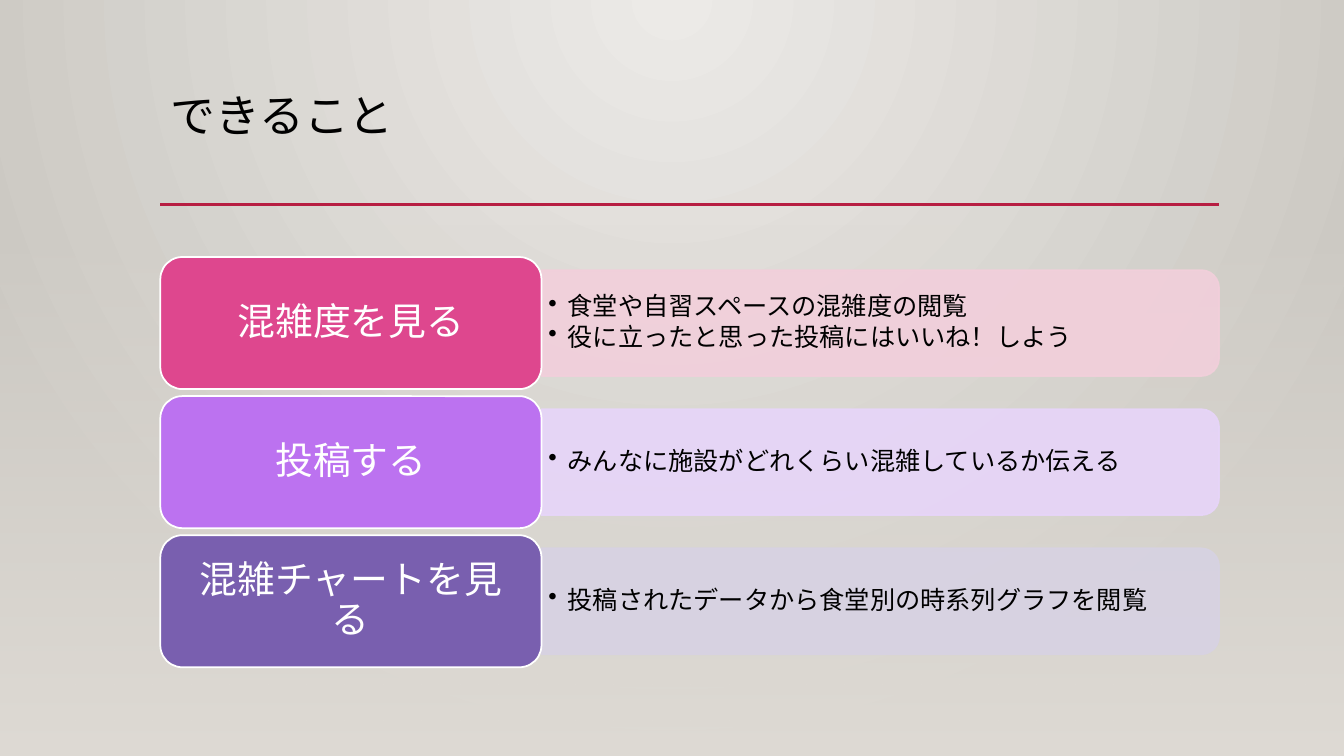
from lxml import etree
from pptx import Presentation
from pptx.dml.color import RGBColor
from pptx.enum.shapes import MSO_CONNECTOR, MSO_SHAPE
from pptx.enum.text import MSO_ANCHOR, PP_ALIGN
from pptx.oxml.ns import qn
from pptx.util import Inches, Pt

RECT, ROUND = MSO_SHAPE.RECTANGLE, MSO_SHAPE.ROUNDED_RECTANGLE
ROUND_TOP = MSO_SHAPE.ROUND_2_SAME_RECTANGLE
STRAIGHT = MSO_CONNECTOR.STRAIGHT
TOP, MIDDLE = MSO_ANCHOR.TOP, MSO_ANCHOR.MIDDLE
LEFT, CENTER = PP_ALIGN.LEFT, PP_ALIGN.CENTER

BLACK = RGBColor(0x00, 0x00, 0x00)
WHITE = RGBColor(0xFF, 0xFF, 0xFF)
CRIMSON = RGBColor(0xB7, 0x1E, 0x42)
PALE, GREY = RGBColor(0xEC, 0xEA, 0xE7), RGBColor(0xCA, 0xC7, 0xC1)
SAND = RGBColor(0xDF, 0xDB, 0xD5)

# Content: label, label colour, bar colour, bullets
TITLE = "できること"
ROWS = [
    ("混雑度を見る", RGBColor(0xDE, 0x47, 0x8E), RGBColor(0xF2, 0xCF, 0xDB),
     ["食堂や自習スペースの混雑度の閲覧", "役に立ったと思った投稿にはいいね！しよう"]),
    ("投稿する", RGBColor(0xBC, 0x72, 0xF0), RGBColor(0xE7, 0xD5, 0xF9),
     ["みんなに施設がどれくらい混雑しているか伝える"]),
    ("混雑チャートを見る", RGBColor(0x79, 0x5F, 0xAF), RGBColor(0xD7, 0xD2, 0xE3),
     ["投稿されたデータから食堂別の時系列グラフを閲覧"]),
]

# Layout in inches
SLIDE_W, SLIDE_H = 13.33, 7.5
MARGIN, RULE_Y, VEIL_Y = 1.59, 2.03, 2.21
ROW_TOP, ROW_PITCH = 2.55, 1.38
LABEL_W, LABEL_H = 3.78, 1.31
BAR_W, BAR_H = 6.72, 1.05
BULLETS_W, BULLETS_H = 6.67, 0.95
INDENT = 0.19


def add(parent, tag, **attrs):
    return etree.SubElement(parent, qn(tag), attrs)


def set_gradient(fill, element, stops, radial=False):
    fill.gradient()
    grad = next(element.iter(qn("a:gradFill")))
    for child in list(grad):
        grad.remove(child)
    stop_list = add(grad, "a:gsLst")
    for pos, color, alpha in stops:
        stop = add(stop_list, "a:gs", pos=str(pos * 1000))
        clr = add(stop, "a:srgbClr", val=str(color))
        if alpha < 100:
            add(clr, "a:alpha", val=str(alpha * 1000))
    if radial:
        circle = add(grad, "a:path", path="circle")
        add(circle, "a:fillToRect", l="43000", t="0", r="43000", b="100000")
    else:
        add(grad, "a:lin", ang="5400000", scaled="0")


def add_shape(s, kind, x, y, w, h, fill, line):
    sp = s.shapes.add_shape(kind, Inches(x), Inches(y), Inches(w), Inches(h))
    sp.shadow.inherit = False
    sp.fill.solid()
    sp.fill.fore_color.rgb = fill
    sp.line.color.rgb = line
    sp.line.width = Pt(1.25)
    return sp


def write(sp, lines, size, color, align, anchor, inset, bullets=False):
    tf = sp.text_frame
    frame = dict(word_wrap=True, vertical_anchor=anchor,
                 margin_left=Inches(inset[0]), margin_right=Inches(inset[0]),
                 margin_top=Inches(inset[1]), margin_bottom=Inches(inset[1]))
    for name, value in frame.items():
        setattr(tf, name, value)
    for i, line in enumerate(lines):
        p = tf.paragraphs[0] if i == 0 else tf.add_paragraph()
        p.alignment, p.line_spacing = align, 0.9
        r = p.add_run()
        r.text = line
        for name, value in dict(name="Calibri", size=Pt(size)).items():
            setattr(r.font, name, value)
        r.font.color.rgb = color
        if bullets:
            p.level = 1
            p.space_after = Pt(size * 0.15)
            pPr = p._p.get_or_add_pPr()
            pPr.set("marL", str(Inches(INDENT)))
            pPr.set("indent", str(-Inches(INDENT)))
            add(pPr, "a:buChar", char="•")


def add_row(s, top, label, label_color, bar_color, bullets):
    middle = top + LABEL_H / 2
    bar_left = MARGIN + LABEL_W

    # Bar: an upright shape turned so its rounded end faces right
    bar = add_shape(s, ROUND_TOP, bar_left + (BAR_W - BAR_H) / 2,
                    middle - BAR_W / 2, BAR_H, BAR_W, bar_color, bar_color)
    bar.rotation = 90
    for clr in bar._element.spPr.iter(qn("a:srgbClr")):
        add(clr, "a:alpha", val="90000")

    # Bullets
    box = s.shapes.add_textbox(Inches(bar_left), Inches(middle - BULLETS_H / 2),
                               Inches(BULLETS_W), Inches(BULLETS_H))
    write(box, bullets, 18, BLACK, LEFT, MIDDLE, (0.07, 0.04), bullets=True)

    # Label
    tile = add_shape(s, ROUND, MARGIN, top, LABEL_W, LABEL_H, label_color, WHITE)
    write(tile, [label], 27, WHITE, CENTER, MIDDLE, (0.17, 0.12))


def main():
    prs = Presentation()
    prs.slide_width, prs.slide_height = Inches(SLIDE_W), Inches(SLIDE_H)
    s = prs.slides.add_slide(prs.slide_layouts[5])

    # Background and the veil over its lower part
    set_gradient(s.background.fill, s._element,
                 [(0, PALE, 100), (100, GREY, 100)], radial=True)
    veil = add_shape(s, RECT, 0, VEIL_Y, SLIDE_W, SLIDE_H - VEIL_Y, SAND, SAND)
    veil.line.fill.background()
    set_gradient(veil.fill, veil._element, [(0, SAND, 0), (100, SAND, 100)])

    # Title and rule
    title = s.shapes.title
    place = dict(left=MARGIN, top=0.88, width=10.5, height=1.15)
    for name, value in place.items():
        setattr(title, name, Inches(value))
    write(title, [TITLE], 32, BLACK, LEFT, TOP, (0.1, 0.05))
    rule = s.shapes.add_connector(STRAIGHT, Inches(MARGIN), Inches(RULE_Y),
                                  Inches(MARGIN + 10.5), Inches(RULE_Y))
    rule.line.color.rgb = CRIMSON
    rule.line.width = Pt(2.5)
    add(rule._element.spPr, "a:effectLst")

    # Feature rows
    for i, row in enumerate(ROWS):
        add_row(s, ROW_TOP + i * ROW_PITCH, *row)

    prs.save("out.pptx")


if __name__ == "__main__":
    main()
